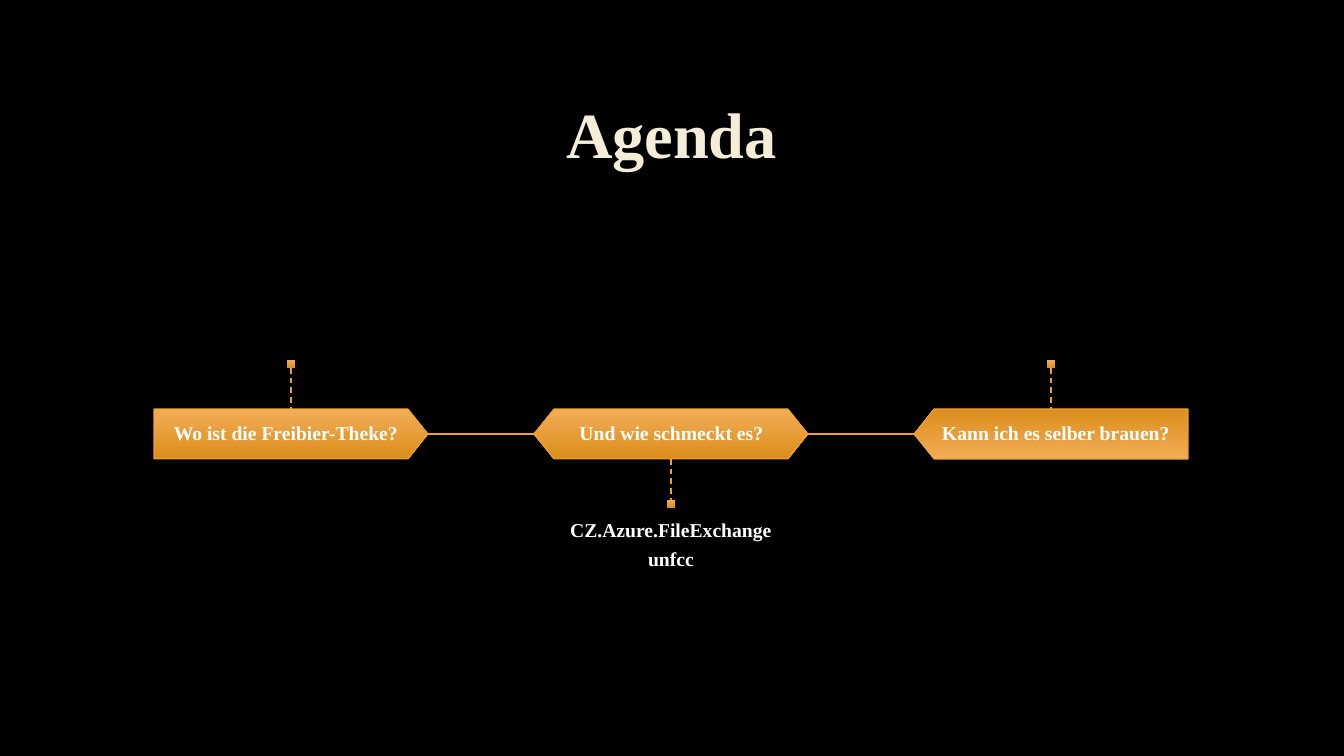
from lxml.etree import SubElement
from pptx import Presentation
from pptx.dml.color import RGBColor
from pptx.enum.dml import MSO_LINE
from pptx.enum.shapes import MSO_CONNECTOR, MSO_SHAPE
from pptx.enum.text import MSO_ANCHOR, PP_ALIGN
from pptx.oxml.ns import qn
from pptx.util import Emu, Pt

BLACK = RGBColor(0x00, 0x00, 0x00)
WHITE = RGBColor(0xFF, 0xFF, 0xFF)
CREAM = RGBColor(0xF4, 0xED, 0xD8)
AMBER = RGBColor(0xF0, 0xA2, 0x2E)
AMBER_LIGHT = RGBColor(0xF2, 0xAD, 0x56)
AMBER_DARK = RGBColor(0xDB, 0x8E, 0x1B)
FONT = "Times New Roman"

# Timeline layout in px
FIRST_LEFT, PITCH = 154, 380
BANNER_TOP, BANNER_WIDTH, BANNER_HEIGHT = 409, 274, 50
STEM, MARKER = 41, 8

# Shape, rotation, label offset, label width, stem above the banner, label
STEPS = [
    (MSO_SHAPE.PENTAGON, 0, 0, 264, True, "Wo ist die Freibier-Theke?"),
    (MSO_SHAPE.HEXAGON, 0, 30, 215, False, "Und wie schmeckt es?"),
    (MSO_SHAPE.PENTAGON, 180, 10, 264, True, "Kann ich es selber brauen?"),
]
DETAILS = ["CZ.Azure.FileExchange", "unfcc"]


def px(length):
    return Emu(round(length * 914400 / 100.8))


def add_text(page, area, lines, size=14, color=WHITE, anchor=MSO_ANCHOR.MIDDLE,
             insets=(12, 12), space_after=5.5):
    box = page.shapes.add_textbox(*map(px, area))
    frame = box.text_frame
    frame.word_wrap = True
    frame.vertical_anchor = anchor
    frame.margin_left = frame.margin_right = px(insets[0])
    frame.margin_top = frame.margin_bottom = px(insets[1])
    frame.text = "\n".join(lines)
    for para in frame.paragraphs:
        para.alignment = PP_ALIGN.CENTER
        para.line_spacing = 0.9
        para.space_after = Pt(space_after)
        para.font.name = FONT
        para.font.size = Pt(size)
        para.font.bold = True
        para.font.color.rgb = color


def add_amber_shape(page, kind, area):
    shape = page.shapes.add_shape(kind, *map(px, area))
    shape.shadow.inherit = False
    shape.fill.gradient()
    shape.fill.gradient_angle = 270
    for stop, color in zip(shape.fill.gradient_stops, (AMBER_LIGHT, AMBER_DARK)):
        stop.color.rgb = color
    shape.line.fill.background()
    return shape


def add_banner(page, kind, left, rotation):
    banner = add_amber_shape(page, kind, (left, BANNER_TOP, BANNER_WIDTH, BANNER_HEIGHT))
    banner.adjustments[0] = 0.4
    banner.rotation = rotation
    banner.line.color.rgb = AMBER
    banner.line.width = Pt(0.75)


def add_line(page, start, end, width, dash=None):
    line = page.shapes.add_connector(MSO_CONNECTOR.STRAIGHT, *map(px, start + end))
    line.line.color.rgb = AMBER
    line.line.width = Pt(width)
    if dash:
        line.line.dash_style = dash
    SubElement(line._element.spPr, qn("a:effectLst"))


def add_stem(page, center, above):
    if above:
        start, end = BANNER_TOP - STEM, BANNER_TOP
        marker_top = start - MARKER
    else:
        start = BANNER_TOP + BANNER_HEIGHT
        end = marker_top = start + STEM
    add_line(page, (center, start), (center, end), 1, MSO_LINE.DASH)
    add_amber_shape(page, MSO_SHAPE.RECTANGLE,
                    (center - MARKER // 2, marker_top, MARKER, MARKER))


def main():
    deck = Presentation()
    deck.slide_width, deck.slide_height = px(1344), px(756)
    page = deck.slides.add_slide(deck.slide_layouts[6])
    page.background.fill.solid()
    page.background.fill.fore_color.rgb = BLACK

    # Title
    add_text(page, (101, 68, 1141, 139), ["Agenda"], size=46, color=CREAM,
             insets=(10, 5), space_after=0)

    # Timeline steps
    for index, (kind, rotation, offset, width, above, label) in enumerate(STEPS):
        left = FIRST_LEFT + index * PITCH
        add_banner(page, kind, left, rotation)
        add_text(page, (left + offset, BANNER_TOP, width, BANNER_HEIGHT), [label])
        add_stem(page, left + BANNER_WIDTH // 2, above)

    # Links between steps
    middle = BANNER_TOP + BANNER_HEIGHT // 2
    for index in range(len(STEPS) - 1):
        left = FIRST_LEFT + index * PITCH
        add_line(page, (left + BANNER_WIDTH, middle), (left + PITCH, middle), 0.75)

    # Details below the middle step
    add_text(page, (481, 507, 380, 131), DETAILS, anchor=MSO_ANCHOR.TOP, insets=(0, 14))

    deck.save("out.pptx")


if __name__ == "__main__":
    main()
